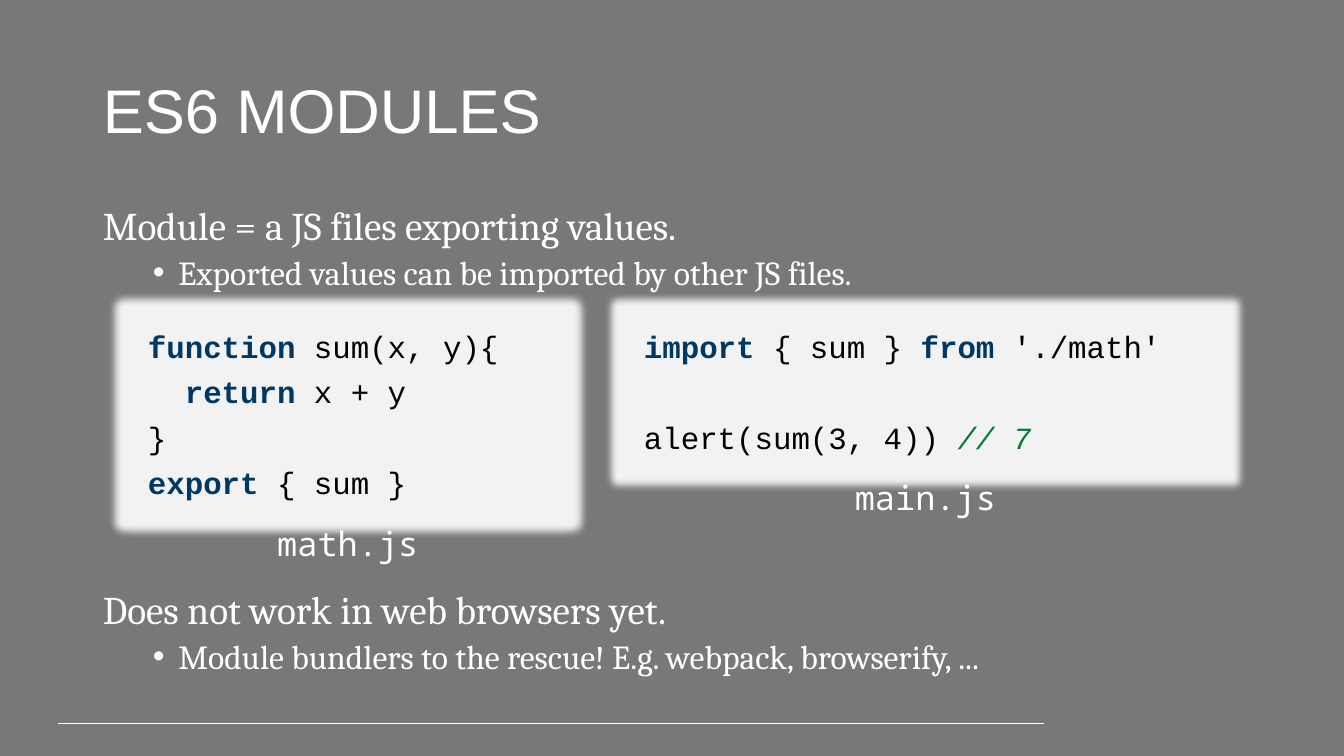
from lxml.etree import SubElement
from pptx import Presentation
from pptx.dml.color import RGBColor
from pptx.enum.shapes import MSO_CONNECTOR as Connector, MSO_SHAPE as Shape
from pptx.enum.text import MSO_ANCHOR as Anchor, MSO_AUTO_SIZE as AutoSize, PP_ALIGN as Align
from pptx.oxml.ns import qn
from pptx.util import Cm, Pt

GRAY = RGBColor(0x78, 0x78, 0x78)
WHITE = RGBColor(0xFF, 0xFF, 0xFF)
PANEL = RGBColor(0xF2, 0xF2, 0xF2)
BLACK = RGBColor(0, 0, 0)
KEYWORD = RGBColor(0x00, 0x38, 0x65)
COMMENT = RGBColor(0x00, 0x7A, 0x33)


def write(paragraph, text, font, size, color, bold=False, italic=False):
    run = paragraph.add_run()
    run.text = text
    run.font.name, run.font.size = font, Pt(size)
    run.font.color.rgb = color
    run.font.bold, run.font.italic = bold, italic


class ModuleSlide:
    title_font, list_font = "Arial", "Cambria"
    code_font, caption_font = "Courier New", "Noto Sans Mono"
    code_size = 22
    glow_radius = 0.39

    def __init__(self, deck):
        self.slide = deck.slides.add_slide(deck.slide_layouts[3])
        self.shapes = self.slide.shapes
        self.slide.background.fill.solid()
        self.slide.background.fill.fore_color.rgb = GRAY

    def place(self, shape, left, top, width, height):
        shape.left, shape.top = Cm(left), Cm(top)
        shape.width, shape.height = Cm(width), Cm(height)

    def paragraph(self, frame, first, before, spacing=0.9, align=Align.LEFT):
        paragraph = frame.paragraphs[0] if first else frame.add_paragraph()
        paragraph.alignment = align
        paragraph.line_spacing = spacing
        paragraph.space_before, paragraph.space_after = Pt(before), Pt(0)
        return paragraph

    def indent(self, paragraph, margin, hanging=0):
        properties = paragraph._p.get_or_add_pPr()
        properties.set("marL", str(Cm(margin)))
        properties.set("indent", str(Cm(-hanging)))
        return properties

    def title(self, text, *box):
        title = self.shapes.title
        self.place(title, *box)
        frame = title.text_frame
        frame.vertical_anchor, frame.auto_size = Anchor.MIDDLE, AutoSize.NONE
        write(self.paragraph(frame, True, 0), text, self.title_font, 44, WHITE)

    def statement(self, index, headline, detail, *box):
        body = self.slide.placeholders[index]
        self.place(body, *box)
        frame = body.text_frame
        frame.auto_size = AutoSize.SHAPE_TO_FIT_TEXT
        lead = self.paragraph(frame, True, 10)
        SubElement(self.indent(lead, 0), qn("a:buNone"))
        write(lead, headline, self.list_font, 28, WHITE)
        bullet = self.paragraph(frame, False, 5)
        bullet.level = 1
        properties = self.indent(bullet, 1.9, 0.64)
        SubElement(properties, qn("a:buFont"), typeface="Arial")
        SubElement(properties, qn("a:buChar"), char="•")
        write(bullet, detail, self.list_font, 24, WHITE)

    def code(self, lines, *box):
        panel = self.shapes.add_shape(Shape.RECTANGLE, *map(Cm, box))
        panel.fill.solid()
        panel.fill.fore_color.rgb = PANEL
        panel.line.fill.background()
        # Soft glow around the panel
        panel.shadow.inherit = False
        effects = panel._element.spPr.find(qn("a:effectLst"))
        glow = SubElement(effects, qn("a:glow"), rad=str(Cm(self.glow_radius)))
        SubElement(glow, qn("a:srgbClr"), val=str(PANEL))
        frame = panel.text_frame
        frame.word_wrap, frame.vertical_anchor = True, Anchor.TOP
        frame.auto_size = AutoSize.SHAPE_TO_FIT_TEXT
        for number, (margin, before, parts) in enumerate(lines):
            line = self.paragraph(frame, number == 0, before, spacing=1.0)
            self.indent(line, margin)
            for text, color in parts:
                write(line, text, self.code_font, self.code_size, color,
                      bold=color == KEYWORD, italic=color == COMMENT)

    def caption(self, text, *box):
        frame = self.shapes.add_textbox(*map(Cm, box)).text_frame
        frame.word_wrap, frame.auto_size = True, AutoSize.SHAPE_TO_FIT_TEXT
        label = self.paragraph(frame, True, 10, align=Align.CENTER)
        write(label, text, self.caption_font, 24, WHITE)

    def rule(self, left, right, y):
        rule = self.shapes.add_connector(
            Connector.STRAIGHT, Cm(left), Cm(y), Cm(right), Cm(y))
        rule.line.color.rgb, rule.line.width = WHITE, Pt(0.75)
        SubElement(rule._element.spPr, qn("a:effectLst"))


deck = Presentation()
deck.slide_width, deck.slide_height = Cm(33.87), Cm(19.05)
modules = ModuleSlide(deck)

# Title and statements
text_left, text_width = 2.34, 29.9
modules.rule(1.45, 26.31, 18.24)
modules.title("ES6 MODULES", text_left, 1.02, 29.21, 3.68)
modules.statement(1, "Module = a JS files exporting values.",
                  "Exported values can be imported by other JS files.",
                  text_left, 5.08, text_width, 2.44)
modules.statement(2, "Does not work in web browsers yet.",
                  "Module bundlers to the rescue! E.g. webpack, browserify, ...",
                  text_left, 14.76, text_width, 2.44)

# Code lines: left margin, space before, coloured parts
line_gap, skipped_line = 6, 38.6
math_code = [
    (0, line_gap, [("function", KEYWORD), (" sum(x, y){", BLACK)]),
    (0.93, line_gap, [("return", KEYWORD), (" x + y", BLACK)]),
    (0, line_gap, [("}", BLACK)]),
    (0, line_gap, [("export", KEYWORD), (" { sum }", BLACK)]),
]
main_code = [
    (0, line_gap, [("import", KEYWORD), (" { sum } ", BLACK),
                   ("from", KEYWORD), (" './math'", BLACK)]),
    (0, skipped_line, [("alert(sum(3, 4)) ", BLACK), ("// 7", COMMENT)]),
]

# Code panels with their file names below
panel_top, caption_gap, caption_height = 8.13, 0.38, 1.19
for file_name, code, left, width, height in (
        ("math.js", math_code, 3.48, 10.57, 4.65),
        ("main.js", main_code, 15.98, 14.68, 3.5)):
    modules.code(code, left, panel_top, width, height)
    modules.caption(file_name, left, panel_top + height + caption_gap,
                    width, caption_height)

deck.save("out.pptx")
